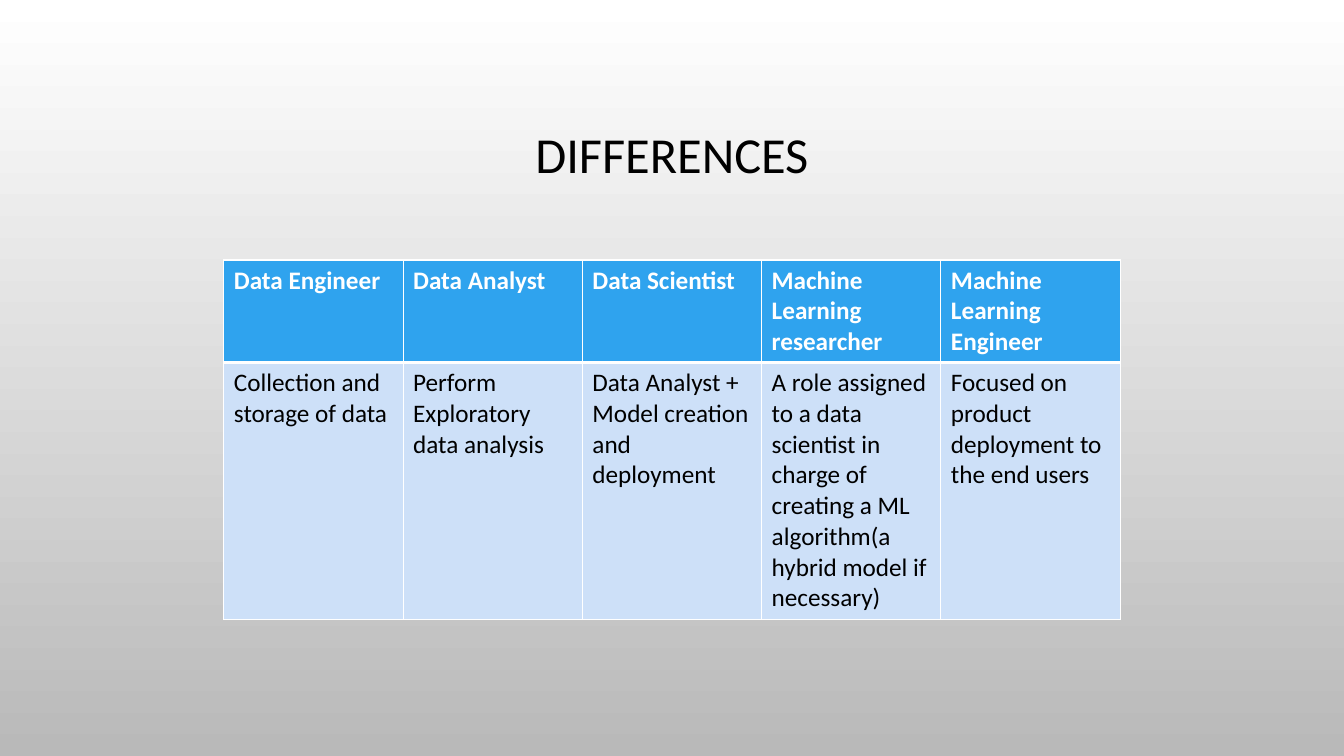
from lxml.etree import SubElement
from pptx import Presentation
from pptx.dml.color import RGBColor
from pptx.enum.text import MSO_ANCHOR, PP_ALIGN
from pptx.oxml.ns import qn
from pptx.util import Inches, Pt

FONT = "Calibri"
WHITE = RGBColor(0xFF, 0xFF, 0xFF)
GREY = RGBColor(0xB9, 0xB9, 0xB9)
BLACK = RGBColor(0x00, 0x00, 0x00)
BLUE = RGBColor(0x2F, 0xA3, 0xEE)
PALE_BLUE = RGBColor(0xCD, 0xE0, 0xF8)

ROLES = [
    ("Data Engineer", "Collection and storage of data"),
    ("Data Analyst ", "Perform Exploratory data analysis "),
    ("Data Scientist", "Data Analyst + Model creation and deployment"),
    ("Machine Learning researcher",
     "A role assigned to a data scientist in charge of creating a ML "
     "algorithm(a hybrid model if necessary)"),
    ("Machine Learning Engineer",
     "Focused on product deployment to the end users"),
]


def set_background(s):
    """Fill the slide with a gradient from white down to grey."""
    fill = s.background.fill
    fill.gradient()
    fill.gradient_angle = 270
    for stop, position, color in zip(fill.gradient_stops, (0, 1), (WHITE, GREY)):
        stop.position = position
        stop.color.rgb = color


def add_run(p, text, size, color, bold=False):
    """Add one formatted run to a paragraph."""
    r = p.add_run()
    r.text = text
    r.font.name = FONT
    r.font.size = Pt(size)
    r.font.bold = bold
    r.font.color.rgb = color


def add_title(s, text):
    """Add the centred slide title."""
    sp = s.shapes.add_textbox(Inches(1), Inches(0.68), Inches(11.33), Inches(1.75))
    tf = sp.text_frame
    tf.word_wrap = True
    tf.vertical_anchor = MSO_ANCHOR.MIDDLE
    p = tf.paragraphs[0]
    p.alignment = PP_ALIGN.CENTER
    p.line_spacing = 0.9
    add_run(p, text, 36, BLACK)


def set_borders(cell, widths):
    """Draw white borders in the order left, right, top, bottom."""
    tc_pr = cell._tc.get_or_add_tcPr()
    for side, width in zip("LRTB", widths):
        ln = SubElement(tc_pr, qn(f"a:ln{side}"), w=str(Pt(width)))
        fill = SubElement(ln, qn("a:solidFill"))
        SubElement(fill, qn("a:srgbClr"), val=str(WHITE))


def fill_cell(cell, text, fill, color, bold, widths):
    """Set the text, borders and fill of one cell."""
    add_run(cell.text_frame.paragraphs[0], text, 18, color, bold)
    set_borders(cell, widths)
    cell.fill.solid()
    cell.fill.fore_color.rgb = fill


def add_roles_table(s):
    """Add the table with one column per role."""
    table = s.shapes.add_table(2, len(ROLES), Inches(2.22), Inches(2.58),
                               Inches(8.89), Inches(3.55)).table
    table.rows[0].height = Inches(1)
    table.rows[1].height = Inches(2.55)
    for col, (role, duty) in enumerate(ROLES):
        fill_cell(table.cell(0, col), role, BLUE, WHITE, True, (1, 1, 1, 3))
        fill_cell(table.cell(1, col), duty, PALE_BLUE, BLACK, False, (1, 1, 3, 1))


def main():
    """Build and save the slide."""
    prs = Presentation()
    prs.slide_width = Inches(13.33)
    prs.slide_height = Inches(7.5)
    s = prs.slides.add_slide(prs.slide_layouts[6])
    set_background(s)
    add_roles_table(s)
    add_title(s, "DIFFERENCES")
    prs.save("out.pptx")


main()
